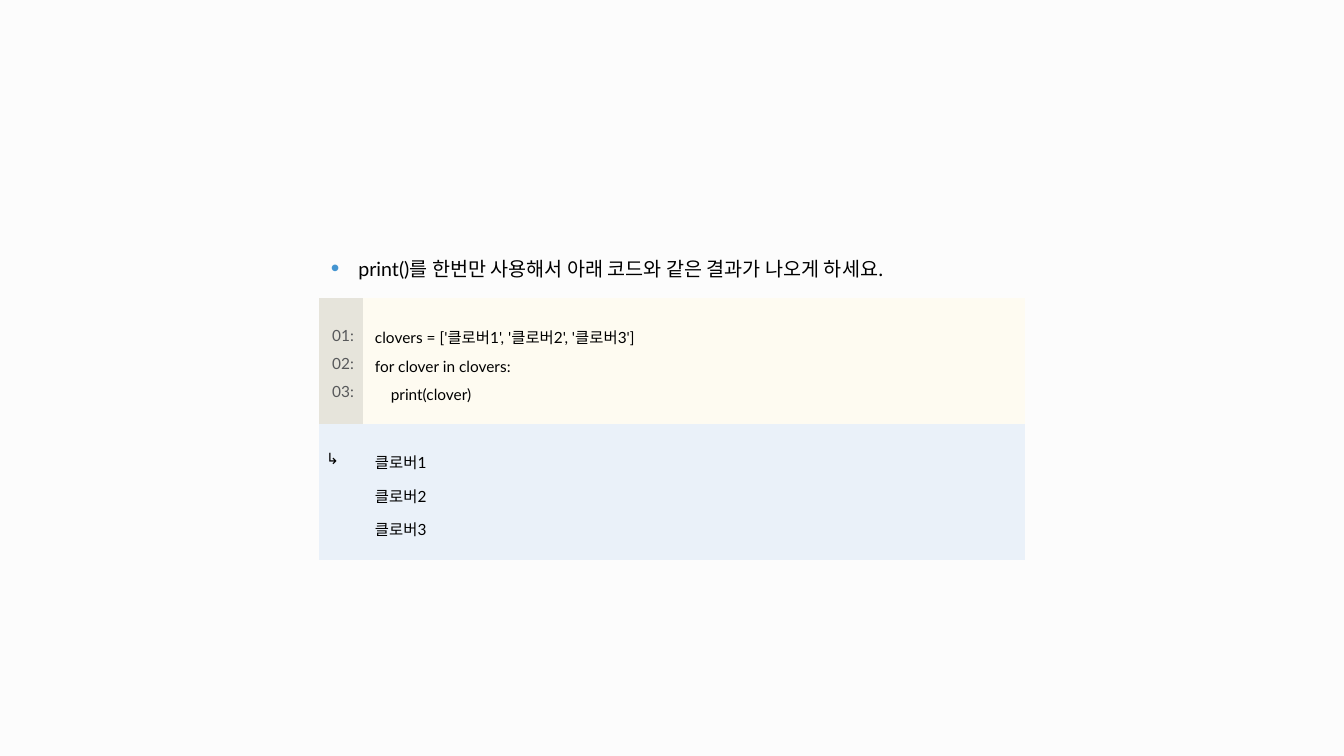
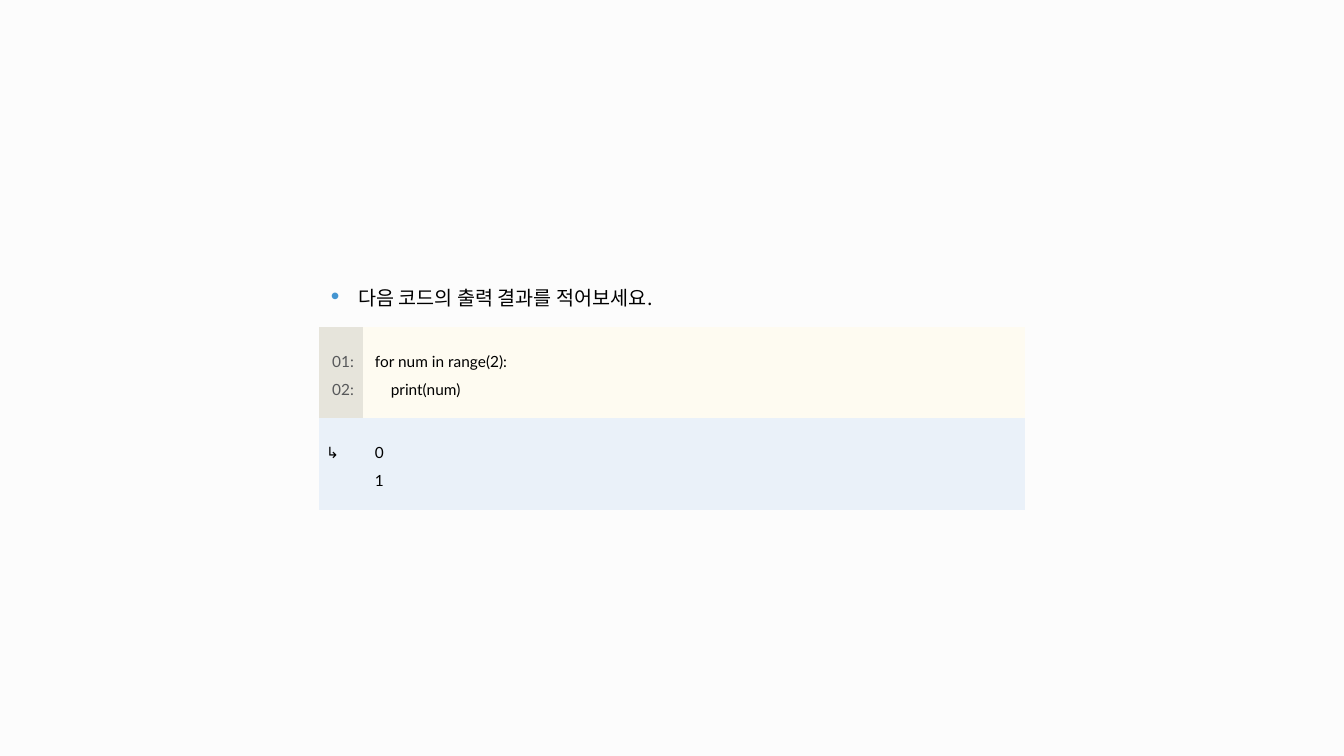
import dataclasses

import lxml.etree
import pptx
import pptx.dml.color
import pptx.enum.text
import pptx.oxml.ns
import pptx.util

Cm = pptx.util.Cm
Pt = pptx.util.Pt
Align = pptx.enum.text.PP_ALIGN
Anchor = pptx.enum.text.MSO_ANCHOR
qn = pptx.oxml.ns.qn


@dataclasses.dataclass(frozen=True)
class Theme:
    background: str = "FCFCFC"
    ink: str = "000000"
    line_number: str = "57585A"
    bullet: str = "4495D1"
    gutter: str = "E6E4DB"
    code: str = "FEFBF1"
    output: str = "EAF1F9"
    latin_font: str = "Lato"
    korean_font: str = "Noto Sans CJK KR"
    question_size: int = 14
    code_size: int = 11
    line_spacing: float = 1.5
    plain_table_style: str = "{2D5ABB26-0587-4C30-8999-92F81FD0307C}"


def rgb(color):
    return pptx.dml.color.RGBColor.from_string(color)


class Deck:
    WIDTH, HEIGHT = 33.87, 19.05
    COLUMNS = (1.11, 16.68)
    QUESTION_HEIGHT = 1.58
    # Cell margins: left, top, right, bottom
    QUESTION_MARGINS = (0.3, 0.1, 0, 0.4)
    GUTTER_MARGINS = (0.1, 0.1, 0, 0.2)
    ARROW_MARGINS = (0.18, 0.4, 0, 0.5)
    CODE_MARGINS = (0.3, 0.4, 0, 0.5)

    def __init__(self, theme):
        self.theme = theme
        self.presentation = pptx.Presentation()
        self.presentation.slide_width = Cm(self.WIDTH)
        self.presentation.slide_height = Cm(self.HEIGHT)
        self.slide = None

    def add_slide(self):
        self.slide = self.presentation.slides.add_slide(self.presentation.slide_layouts[6])
        fill = self.slide.background.fill
        fill.solid()
        fill.fore_color.rgb = rgb(self.theme.background)

    def format_run(self, run, size, color, latin_font):
        run.font.size = Pt(size)
        run.font.color.rgb = rgb(color)
        run.font.name = latin_font
        east_asian = lxml.etree.SubElement(run.font._element, qn("a:ea"))
        east_asian.set("typeface", self.theme.korean_font)

    def prepare_cell(self, cell, margins, fill, anchor=Anchor.MIDDLE):
        left, top, right, bottom = margins
        cell.margin_left, cell.margin_top = Cm(left), Cm(top)
        cell.margin_right, cell.margin_bottom = Cm(right), Cm(bottom)
        cell.vertical_anchor = anchor
        if fill:
            cell.fill.solid()
            cell.fill.fore_color.rgb = rgb(fill)
        else:
            cell.fill.background()

    def add_bullet(self, paragraph):
        properties = paragraph._p.get_or_add_pPr()
        properties.set("marL", str(Cm(0.69)))
        properties.set("indent", str(-Cm(0.69)))
        color = lxml.etree.SubElement(properties, qn("a:buClr"))
        lxml.etree.SubElement(color, qn("a:srgbClr")).set("val", self.theme.bullet)
        lxml.etree.SubElement(properties, qn("a:buSzPct")).set("val", "125000")
        lxml.etree.SubElement(properties, qn("a:buFont")).set("typeface", "Arial")
        lxml.etree.SubElement(properties, qn("a:buChar")).set("char", "•")

    def write_question(self, cell, parts):
        """Fill the bulleted top cell from (text, latin font) parts."""
        self.prepare_cell(cell, self.QUESTION_MARGINS, None)
        paragraph = cell.text_frame.paragraphs[0]
        self.add_bullet(paragraph)
        paragraph.line_spacing = self.theme.line_spacing
        for text, latin_font in parts:
            run = paragraph.add_run()
            run.text = text
            self.format_run(run, self.theme.question_size, self.theme.ink, latin_font)

    def write_lines(self, cell, lines, margins, fill, color=None,
                    align=Align.LEFT, anchor=Anchor.MIDDLE):
        self.prepare_cell(cell, margins, fill, anchor)
        cell.text_frame.text = "\n".join(lines)
        for paragraph in cell.text_frame.paragraphs:
            paragraph.alignment = align
            paragraph.line_spacing = self.theme.line_spacing
            for run in paragraph.runs:
                self.format_run(run, self.theme.code_size, color or self.theme.ink,
                                self.theme.latin_font)

    def add_exercise(self, top, question, code, output, code_height, output_height):
        """Draw one table: question, numbered code and its output."""
        theme = self.theme
        heights = (self.QUESTION_HEIGHT, code_height, output_height)
        width = sum(self.COLUMNS)
        left = (self.WIDTH - width) / 2
        table = self.slide.shapes.add_table(
            len(heights), len(self.COLUMNS), Cm(left), Cm(top), Cm(width), Cm(sum(heights))
        ).table
        table.first_row = table.horz_banding = False
        table._tbl.tblPr.find(qn("a:tableStyleId")).text = theme.plain_table_style
        for column, column_width in zip(table.columns, self.COLUMNS):
            column.width = Cm(column_width)
        for row, height in zip(table.rows, heights):
            row.height = Cm(height)

        table.cell(0, 0).merge(table.cell(0, 1))
        self.write_question(table.cell(0, 0), question)
        numbers = [f"{number:02}:" for number in range(1, len(code) + 1)]
        self.write_lines(table.cell(1, 0), numbers, self.GUTTER_MARGINS, theme.gutter,
                         color=theme.line_number, align=Align.CENTER)
        self.write_lines(table.cell(1, 1), code, self.CODE_MARGINS, theme.code)
        self.write_lines(table.cell(2, 0), ["↳"], self.ARROW_MARGINS, theme.output,
                         anchor=Anchor.TOP)
        self.write_lines(table.cell(2, 1), output, self.CODE_MARGINS, theme.output)


def main():
    theme = Theme()
    deck = Deck(theme)

    deck.add_slide()
    deck.add_exercise(
        top=5.94,
        question=[
            ("print()", theme.latin_font),
            ("를 한번만 사용해서 아래 코드와 같은 결과가 나오게 하세요.", theme.korean_font),
        ],
        code=[
            "clovers = ['클로버1', '클로버2', '클로버3']",
            "for clover in clovers:",
            "    print(clover)",
        ],
        output=["클로버1", "클로버2", "클로버3"],
        code_height=3.15,
        output_height=3.42,
    )

    deck.add_slide()
    deck.add_exercise(
        top=6.65,
        question=[("다음 코드의 출력 결과를 적어보세요.", theme.korean_font)],
        code=["for num in range(2):", "    print(num)"],
        output=["0", "1"],
        code_height=2.31,
        output_height=2.3,
    )

    deck.presentation.save("out.pptx")


if __name__ == "__main__":
    main()
